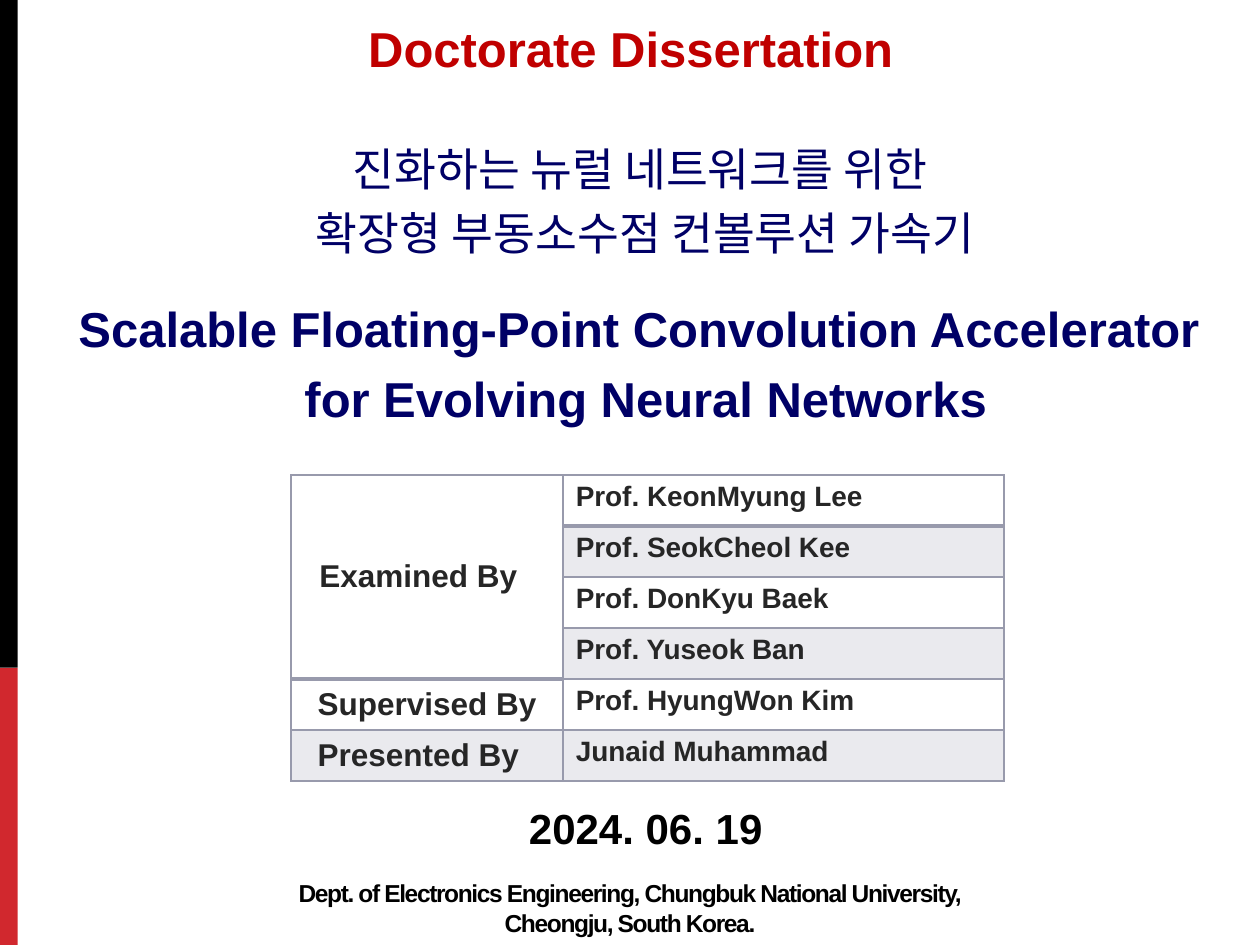
"""Build the opening slide of a doctoral dissertation defence."""
from dataclasses import dataclass

from lxml import etree
from pptx import Presentation
from pptx import util as u
from pptx.dml.color import RGBColor
from pptx.enum import shapes, text
from pptx.oxml.ns import qn


@dataclass(frozen=True)
class Theme:
    font: str = "Arial"
    black: str = "000000"
    red: str = "D1282E"
    crimson: str = "C00000"
    navy: str = "000066"
    ink: str = "262626"
    grid: str = "989AAC"
    tint: int = 20
    heading: int = 28
    korean: int = 26
    date: int = 24
    label: int = 18
    name: int = 16
    small: int = 14


THEME = Theme()
WIDTH, HEIGHT = 10, 7.5
BAR_LEFT, BAR_WIDTH, BAR_SPLIT = -0.02, 0.16, 5.3
TABLE_AT, COLUMNS, ROW_HEIGHT = (2.31, 3.77), (2.16, 3.5), 0.405
MARGIN, WIDE_MARGIN = 0.1, 0.24

BARS = [(BAR_SPLIT, HEIGHT - BAR_SPLIT, THEME.red), (0, BAR_SPLIT, THEME.black)]
TITLE = [
    ("진화하는 뉴럴 네트워크를 위한 ", THEME.korean, False, 30.5, 0),
    ("확장형 부동소수점 컨볼루션 가속기", THEME.korean, False, 30.5, 3),
    ("Scalable Floating-Point Convolution Accelerator ", THEME.heading, True, 34, 19),
    ("for Evolving Neural Networks", THEME.heading, True, 34, 3),
]
HEADING = "Doctorate Dissertation"
DATE = "2024. 06. 19"
DEPARTMENT = [
    "Dept. of Electronics Engineering, Chungbuk National University,",
    "Cheongju, South Korea.",
]
PEOPLE = [
    ("Examined By", ["Prof. KeonMyung Lee", "Prof. SeokCheol Kee",
                     "Prof. DonKyu Baek", "Prof. Yuseok Ban"], WIDE_MARGIN),
    ("Supervised By", ["Prof. HyungWon Kim"], MARGIN),
    ("Presented By", ["Junaid Muhammad"], WIDE_MARGIN),
]


def inches(*values):
    return [u.Inches(value) for value in values]


def add_span(para, words, size, color, bold=True):
    span = para.add_run()
    span.text = words
    span.font.name = THEME.font
    span.font.size = u.Pt(size)
    span.font.bold = bold
    span.font.color.rgb = RGBColor.from_string(color)
    return span


def add_bars(page):
    for top, height, color in BARS:
        bar = page.shapes.add_shape(shapes.MSO_SHAPE.RECTANGLE,
                                    *inches(BAR_LEFT, top, BAR_WIDTH, height))
        bar.shadow.inherit = False
        bar.fill.solid()
        bar.fill.fore_color.rgb = RGBColor.from_string(color)
        bar.line.fill.background()


def fill_title(page):
    box = page.shapes.title
    box.left, box.top, box.width, box.height = inches(0.23, 1.04, 9.79, 2.43)
    frame = box.text_frame
    frame.word_wrap = True
    frame.auto_size = text.MSO_AUTO_SIZE.NONE
    frame.vertical_anchor = text.MSO_ANCHOR.TOP
    frame.margin_top = u.Inches(0.09)
    for index, (words, size, bold, spacing, before) in enumerate(TITLE):
        para = frame.add_paragraph() if index else frame.paragraphs[0]
        para.alignment = text.PP_ALIGN.CENTER
        para.line_spacing = u.Pt(spacing)
        para.space_before, para.space_after = u.Pt(before), u.Pt(3)
        add_span(para, words, size, THEME.navy, bold)


def add_box(page, place, wrap=True):
    frame = page.shapes.add_textbox(*inches(*place)).text_frame
    frame.word_wrap = wrap
    frame.paragraphs[0].alignment = text.PP_ALIGN.CENTER
    return frame


def add_captions(page):
    heading = add_box(page, (2.62, 0.1, 4.77, 0.57))
    add_span(heading.paragraphs[0], HEADING, THEME.heading, THEME.crimson)

    date = add_box(page, (4.09, 6.32, 2.07, 0.5), wrap=False)
    date.auto_size = text.MSO_AUTO_SIZE.SHAPE_TO_FIT_TEXT
    add_span(date.paragraphs[0], DATE, THEME.date, THEME.black)

    department = add_box(page, (0.43, 6.79, 9.14, 0.82))
    department.vertical_anchor = text.MSO_ANCHOR.MIDDLE
    para = department.paragraphs[0]
    para.line_spacing = u.Pt(17)
    for index, words in enumerate(DEPARTMENT):
        if index:
            para.add_line_break()
        span = add_span(para, words, THEME.small, THEME.black)
        span.font._element.set("spc", "-80")


def style_cell(cell, shaded, heavy_top, heavy_bottom):
    if shaded:
        cell.fill.solid()
        cell.fill.fore_color.rgb = RGBColor.from_string(THEME.grid)
    else:
        cell.fill.background()
    properties = cell._tc.get_or_add_tcPr()
    for color in properties.iter(qn("a:srgbClr")):
        etree.SubElement(color, qn("a:alpha"), val=str(THEME.tint * 1000))
    widths = {"L": 1, "R": 1, "T": 1 + heavy_top, "B": 1 + heavy_bottom}
    for index, (side, width) in enumerate(widths.items()):
        line = etree.Element(qn(f"a:ln{side}"), w=str(u.Pt(width)))
        fill = etree.SubElement(line, qn("a:solidFill"))
        etree.SubElement(fill, qn("a:srgbClr"), val=THEME.grid)
        properties.insert(index, line)


def add_people(page):
    count = sum(len(names) for _, names, _ in PEOPLE)
    size = sum(COLUMNS), count * ROW_HEIGHT
    table = page.shapes.add_table(count, len(COLUMNS), *inches(*TABLE_AT, *size)).table
    table.first_row = table.horz_banding = False
    for column, width in zip(table.columns, COLUMNS):
        column.width = u.Inches(width)
    head_rows = len(PEOPLE[0][1])
    row = 0
    for label, names, margin in PEOPLE:
        first = table.cell(row, 0)
        first.vertical_anchor = text.MSO_ANCHOR.MIDDLE
        first.margin_right = u.Inches(margin)
        para = first.text_frame.paragraphs[0]
        para.alignment = text.PP_ALIGN.CENTER
        add_span(para, label, THEME.label, THEME.ink)
        start = row
        for name in names:
            shaded = row % 2 == 1
            style_cell(table.cell(row, 0), shaded and row >= head_rows,
                       row == head_rows, row < head_rows)
            cell = table.cell(row, 1)
            style_cell(cell, shaded, row == 1, row == 0)
            add_span(cell.text_frame.paragraphs[0], name, THEME.name, THEME.ink)
            row += 1
        if len(names) > 1:
            first.merge(table.cell(start + len(names) - 1, 0))


def main():
    deck = Presentation()
    deck.slide_width, deck.slide_height = inches(WIDTH, HEIGHT)
    page = deck.slides.add_slide(deck.slide_layouts[5])
    add_bars(page)
    fill_title(page)
    add_captions(page)
    add_people(page)
    deck.save("out.pptx")


if __name__ == "__main__":
    main()
